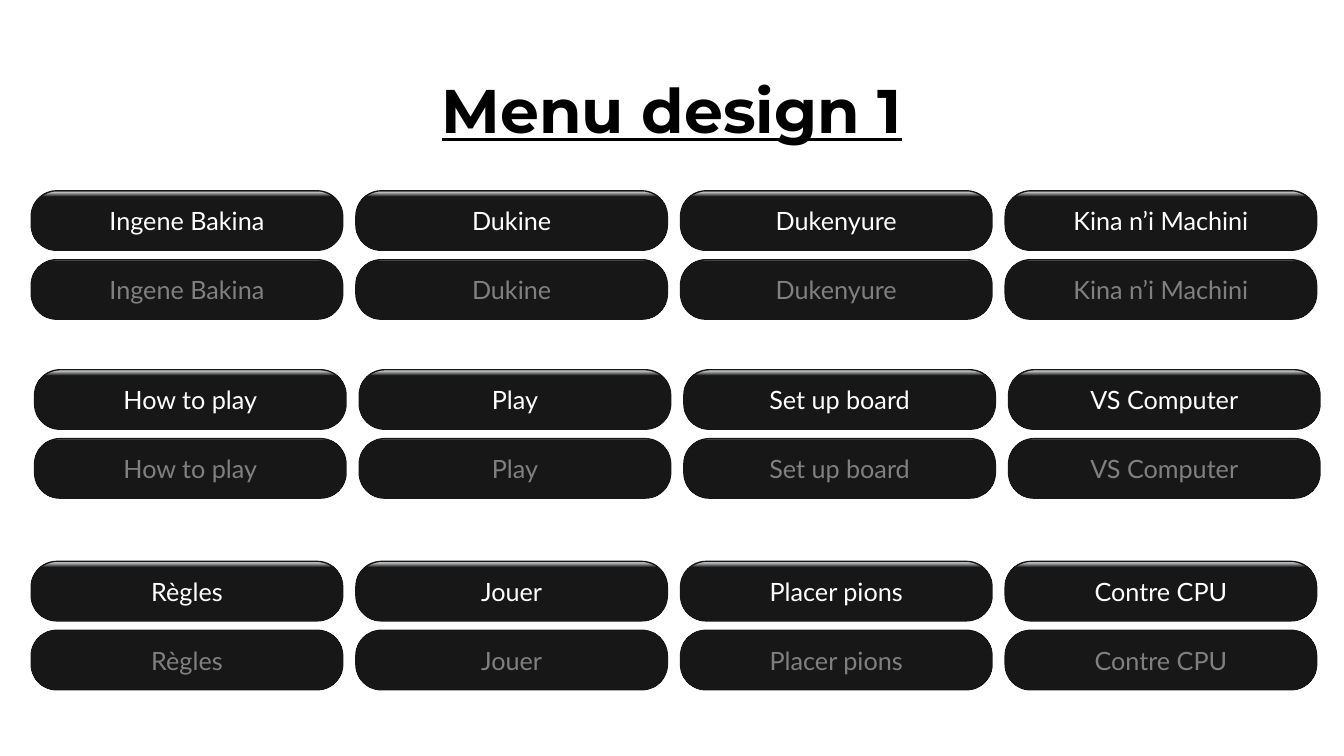
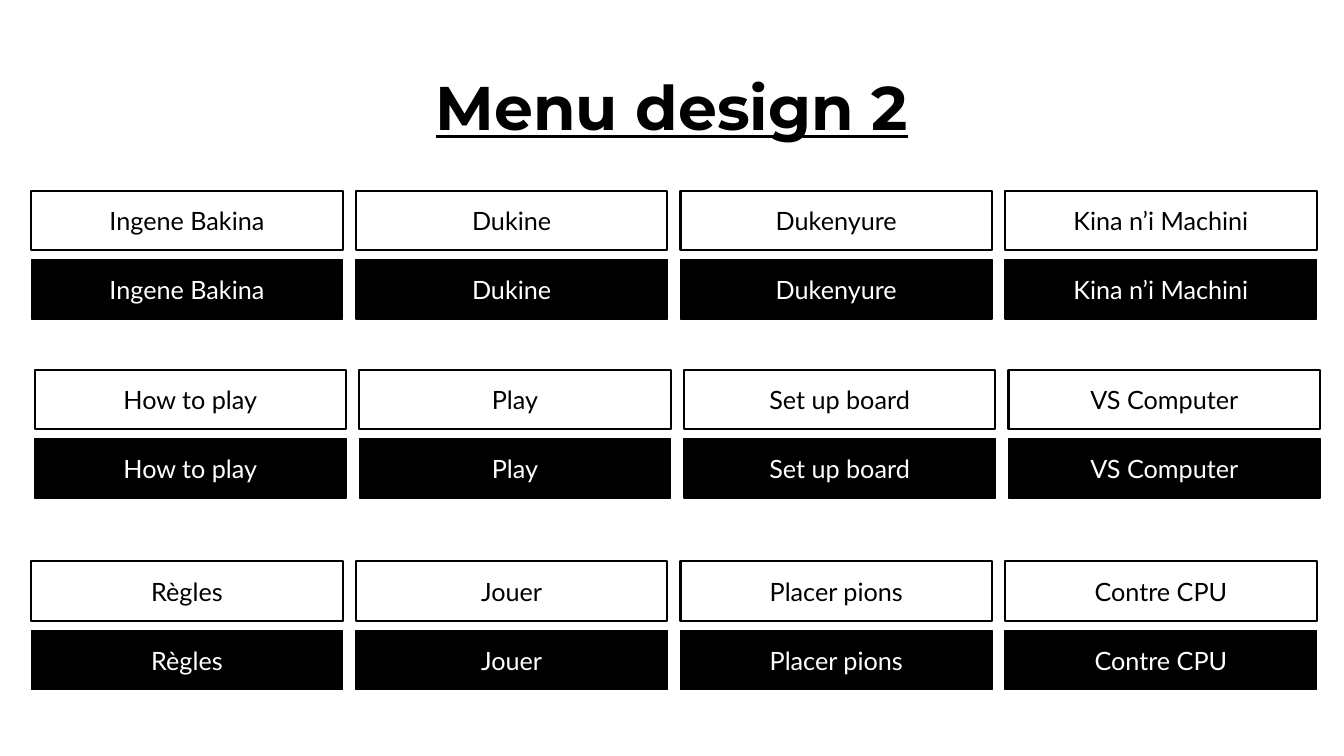
from pptx import Presentation
from pptx.dml.color import RGBColor
from pptx.enum import shapes, text
from pptx.util import Pt

COLORS = {
    "black": "000000",
    "white": "FFFFFF",
    "charcoal": "181717",
    "shine": "F7FAFD",
    "grey": "808080",
}
MENUS = [
    (22.3, 136.3, ["Ingene Bakina", "Dukine", "Dukenyure", "Kina n’i Machini"]),
    (24.7, 264.1, ["How to play", "Play", "Set up board", "VS Computer"]),
    (22.3, 401, ["Règles", "Jouer", "Placer pions", "Contre CPU"]),
]
GLOSSY = [
    dict(fill="charcoal", line="charcoal", color="white", shine=0.1, radius=0.429),
    dict(fill="charcoal", line="charcoal", color="grey", shine=0.02, radius=0.429),
]
FLAT = [
    dict(fill="white", line="black", color="black", weight=1.5),
    dict(fill="black", line="black", color="white"),
]
BUTTON_W, BUTTON_H = 222.5, 42.5
COLUMN_STEP, STATE_STEP = 231.9, 49.2


def rgb(name):
    return RGBColor.from_string(COLORS[name])


def write(sp, content, size=18, font="Lato", color="black", bold=False,
          underline=False, spacing=1.0):
    tf = sp.text_frame
    tf.word_wrap = True
    tf.auto_size = text.MSO_AUTO_SIZE.NONE
    tf.vertical_anchor = text.MSO_ANCHOR.MIDDLE
    p = tf.paragraphs[0]
    p.alignment = text.PP_ALIGN.CENTER
    p.line_spacing = spacing
    r = p.add_run()
    r.text = content
    r.font.size = Pt(size)
    r.font.name = font
    r.font.bold = bold
    r.font.underline = underline
    r.font.color.rgb = rgb(color)


def add_title(s, content, top):
    sp = s.shapes.title
    sp.left, sp.top, sp.width, sp.height = Pt(66), Pt(top), Pt(828), Pt(104.4)
    write(sp, content, size=44, font="Montserrat", bold=True, underline=True,
          spacing=0.9)


def add_button(s, label, left, top, fill, line, color, weight=1, shine=0, radius=0):
    sp = s.shapes.add_shape(shapes.MSO_SHAPE.ROUNDED_RECTANGLE, Pt(left), Pt(top),
                            Pt(BUTTON_W), Pt(BUTTON_H))
    sp.adjustments[0] = radius
    sp.shadow.inherit = False
    if shine:
        sp.fill.gradient()
        sp.fill.gradient_angle = 270
        start, end = sp.fill.gradient_stops
        start.position, start.color.rgb = 0, rgb("shine")
        end.position, end.color.rgb = shine, rgb(fill)
    else:
        sp.fill.solid()
        sp.fill.fore_color.rgb = rgb(fill)
    sp.line.color.rgb = rgb(line)
    sp.line.width = Pt(weight)
    write(sp, label, color=color)


def add_menu_slide(prs, title, title_top, states):
    s = prs.slides.add_slide(prs.slide_layouts.get_by_name("Title Only"))
    add_title(s, title, title_top)
    for left, top, labels in MENUS:
        for row, style in enumerate(states):
            for col, label in enumerate(labels):
                add_button(s, label, left + col * COLUMN_STEP,
                           top + row * STATE_STEP, **style)


def main():
    prs = Presentation()
    prs.slide_width, prs.slide_height = Pt(960), Pt(540)
    add_menu_slide(prs, "Menu design 1", 28.8, GLOSSY)
    add_menu_slide(prs, "Menu design 2", 26.6, FLAT)
    prs.save("out.pptx")


main()
